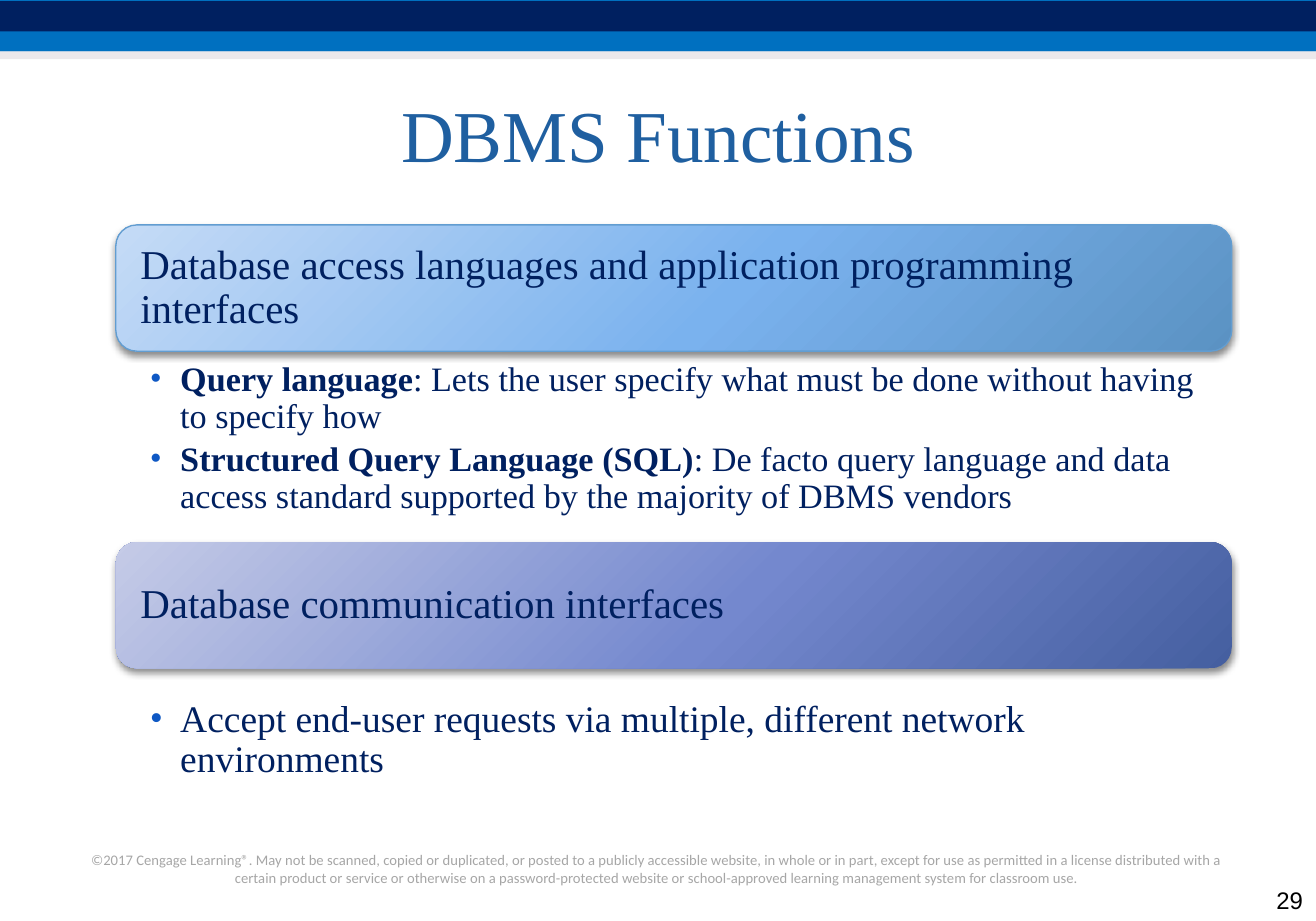
"""Builds the DBMS Functions slide with two headed bullet sections."""
from pptx import Presentation
from pptx.dml.color import RGBColor
from pptx.enum.shapes import MSO_SHAPE
from pptx.enum.text import MSO_ANCHOR, PP_ALIGN
from pptx.oxml import parse_xml
from pptx.oxml.ns import nsdecls
from pptx.util import Inches, Pt

RECT, ROUNDED = MSO_SHAPE.RECTANGLE, MSO_SHAPE.ROUNDED_RECTANGLE
TOP, MIDDLE, BOTTOM = MSO_ANCHOR.TOP, MSO_ANCHOR.MIDDLE, MSO_ANCHOR.BOTTOM
LEFT, CENTER, RIGHT = PP_ALIGN.LEFT, PP_ALIGN.CENTER, PP_ALIGN.RIGHT

TITLE = "DBMS Functions"
PAGE = "29"
COPYRIGHT = (
    "©2017 Cengage Learning®. May not be scanned, copied or duplicated, or posted to a "
    "publicly accessible website, in whole or in part, except for use as permitted in a "
    "license distributed with a certain product or service or otherwise on a "
    "password-protected website or school-approved learning management system for classroom use."
)
SECTIONS = [
    {
        "head": "Database access languages and application programming interfaces",
        "top": 1.71, "stops": ("C5DBF6", "7AB2EE", "5B92C3"), "line": "629DD1",
        "body_top": 2.72, "body_height": 1.48, "size": 18.7,
        "bullets": [
            ("Query language",
             ": Lets the user specify what must be done without having to specify how"),
            ("Structured Query Language (SQL)",
             ": De facto query language and data access standard supported by "
             "the majority of DBMS vendors"),
        ],
    },
    {
        "head": "Database communication interfaces",
        "top": 4.12, "stops": ("C5CBE7", "7488CE", "455FA0"), "line": None,
        "body_top": 5.29, "body_height": 0.85, "size": 20.5,
        "bullets": [
            ("", "Accept end-user requests via multiple, different network environments"),
        ],
    },
]
BANDS = [(0, 0.39, "0070C0", 100), (0.01, 0.23, "002060", 100), (0.39, 0.06, "D8D3D9", 50)]
SECTION_LEFT, SECTION_WIDTH, HEAD_HEIGHT = 0.88, 8.48, 0.96
HEAD_INSETS, BODY_INSETS = (0.14,) * 4, (0.26, 0.03, 0.16, 0.03)
BULLET_INDENT = Inches(0.23)

THEME = {
    "title": {"name": "Times New Roman", "size": 40, "color": "1F5FA0"},
    "head": {"name": "Times New Roman", "size": 22.4, "color": "002060"},
    "body": {"name": "Times New Roman", "size": 18.7, "color": "002060"},
    "copyright": {"name": "Calibri", "size": 8, "color": "A6A6A6"},
    "page": {"name": "Arial", "size": 13.1, "color": "000000"},
    "bullet": "0E58C4",
}


def add_run(p, text, style, bold=False):
    r = p.add_run()
    r.text = text
    font = {"name": style["name"], "size": Pt(style["size"]), "bold": bold}
    for name, value in font.items():
        setattr(r.font, name, value)
    r.font.color.rgb = RGBColor.from_string(style["color"])


def set_frame(tf, anchor, insets=(0.1, 0.05, 0.1, 0.05)):
    sides = ("margin_left", "margin_top", "margin_right", "margin_bottom")
    frame = {"word_wrap": True, "vertical_anchor": anchor}
    frame.update(zip(sides, map(Inches, insets)))
    for name, value in frame.items():
        setattr(tf, name, value)


def add_text(slide, box, text, style, align, anchor):
    tf = slide.shapes.add_textbox(*map(Inches, box)).text_frame
    set_frame(tf, anchor)
    p = tf.paragraphs[0]
    p.alignment = align
    add_run(p, text, style)


def add_band(slide, top, height, color, opacity):
    s = slide.shapes.add_shape(RECT, 0, Inches(top), Inches(10), Inches(height))
    s.shadow.inherit = False
    s.line.fill.background()
    s.fill.solid()
    s.fill.fore_color.rgb = RGBColor.from_string(color)
    if opacity < 100:
        color_element = s.fill._xPr.solidFill[0]
        color_element.append(parse_xml(f'<a:alpha {nsdecls("a")} val="{opacity * 1000}"/>'))


def add_head(slide, section):
    box = (SECTION_LEFT, section["top"], SECTION_WIDTH, HEAD_HEIGHT)
    s = slide.shapes.add_shape(ROUNDED, *map(Inches, box))
    s.fill.background()
    stops = "".join(
        f'<a:gs pos="{pos * 1000}"><a:srgbClr val="{color}"/></a:gs>'
        for pos, color in zip((0, 55, 100), section["stops"]))
    gradient = parse_xml(
        f'<a:gradFill {nsdecls("a")} rotWithShape="1"><a:gsLst>{stops}</a:gsLst>'
        '<a:path path="circle"><a:fillToRect l="-40000" t="-90000" r="140000" b="190000"/>'
        '</a:path></a:gradFill>')
    spPr = s._element.spPr
    spPr.replace(spPr.find("{*}noFill"), gradient)
    if section["line"]:
        s.line.color.rgb = RGBColor.from_string(section["line"])
        s.line.width = Pt(0.75)
    else:
        s.line.fill.background()
    s.shadow.inherit = False
    spPr.find("{*}effectLst").append(parse_xml(
        f'<a:outerShdw {nsdecls("a")} blurRad="{Pt(4)}" dist="{Pt(2)}" dir="5400000" '
        'rotWithShape="0"><a:srgbClr val="000000"><a:alpha val="45000"/></a:srgbClr>'
        '</a:outerShdw>'))
    set_frame(s.text_frame, MIDDLE, HEAD_INSETS)
    p = s.text_frame.paragraphs[0]
    p.alignment, p.line_spacing = LEFT, 0.9
    add_run(p, section["head"], THEME["head"])


def add_bullets(slide, section):
    box = (SECTION_LEFT, section["body_top"], SECTION_WIDTH, section["body_height"])
    tf = slide.shapes.add_textbox(*map(Inches, box)).text_frame
    set_frame(tf, TOP, BODY_INSETS)
    style = {**THEME["body"], "size": section["size"]}
    for i, (term, text) in enumerate(section["bullets"]):
        p = tf.add_paragraph() if i else tf.paragraphs[0]
        pPr = p._p.get_or_add_pPr()
        pPr.set("marL", str(BULLET_INDENT))
        pPr.set("indent", str(-BULLET_INDENT))
        for xml in (f'<a:buClr {nsdecls("a")}><a:srgbClr val="{THEME["bullet"]}"/></a:buClr>',
                    f'<a:buFont {nsdecls("a")} typeface="Times New Roman"/>',
                    f'<a:buChar {nsdecls("a")} char="•"/>'):
            pPr.append(parse_xml(xml))
        p.line_spacing, p.space_after = 0.9, Pt(3.5)
        if term:
            add_run(p, term, style, bold=True)
        add_run(p, text, style)


def main():
    prs = Presentation()
    prs.slide_width, prs.slide_height = Inches(10), Inches(7)
    slide = prs.slides.add_slide(prs.slide_layouts[6])
    for band in BANDS:
        add_band(slide, *band)
    add_text(slide, (0.58, 6.42, 8.83, 0.37), COPYRIGHT, THEME["copyright"], CENTER, TOP)
    add_text(slide, (0.5, 0.47, 9, 1.09), TITLE, THEME["title"], CENTER, MIDDLE)
    add_text(slide, (9.5, 6.69, 0.5, 0.31), PAGE, THEME["page"], RIGHT, BOTTOM)
    for section in SECTIONS:
        add_head(slide, section)
        add_bullets(slide, section)
    prs.save("out.pptx")


if __name__ == "__main__":
    main()
